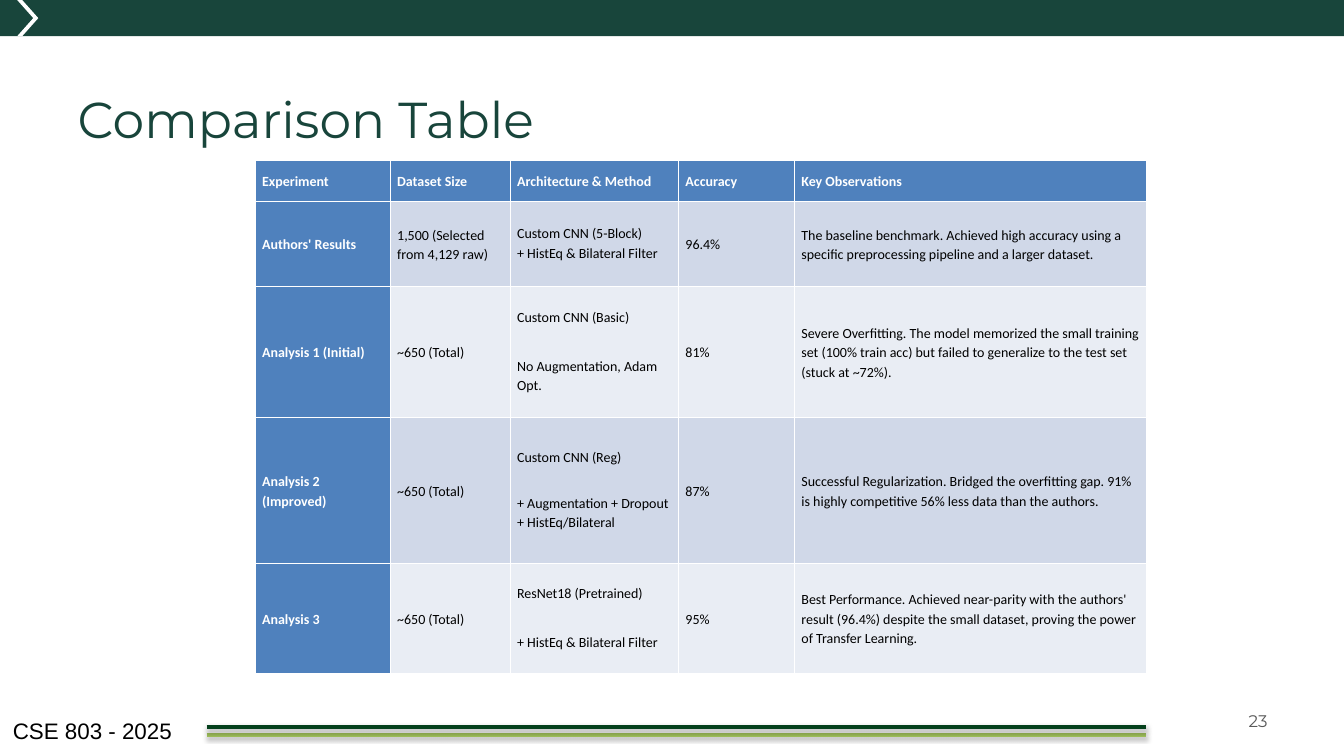
from dataclasses import dataclass
from lxml import etree
from pptx import Presentation
from pptx.dml.color import RGBColor
from pptx.enum.shapes import MSO_CONNECTOR as Connector, MSO_SHAPE as Preset
from pptx.enum.text import MSO_ANCHOR as Anchor, MSO_AUTO_SIZE as AutoSize, PP_ALIGN as Align
from pptx.oxml import parse_xml
from pptx.util import Inches, Pt

TITLE = "Comparison Table"
COURSE = "CSE 803 - 2025"
PAGE = "23"
HEADER = ["Experiment", "Dataset Size", "Architecture & Method", "Accuracy", "Key Observations"]
RESULTS = [
    ["Authors' Results", "1,500 (Selected from 4,129 raw)",
     "Custom CNN (5-Block)\n+ HistEq & Bilateral Filter", "96.4%",
     "The baseline benchmark. Achieved high accuracy using a specific preprocessing "
     "pipeline and a larger dataset."],
    ["Analysis 1 (Initial)", "~650 (Total)",
     ("Custom CNN (Basic)", "No Augmentation, Adam Opt."), "81%",
     "Severe Overfitting. The model memorized the small training set (100% train acc) "
     "but failed to generalize to the test set (stuck at ~72%)."],
    ["Analysis 2 (Improved)", "~650 (Total)",
     ("Custom CNN (Reg)", "+ Augmentation + Dropout\n+ HistEq/Bilateral"), "87%",
     "Successful Regularization. Bridged the overfitting gap. 91% is highly competitive "
     "56% less data than the authors."],
    ["Analysis 3", "~650 (Total)",
     ("ResNet18 (Pretrained)", "+ HistEq & Bilateral Filter"), "95%",
     "Best Performance. Achieved near-parity with the authors' result (96.4%) despite "
     "the small dataset, proving the power of Transfer Learning."],
]
COLUMNS = [1.34, 1.19, 1.67, 1.15, 3.49]
ROWS = [0.41, 0.84, 1.3, 1.45, 1.09]
WIDTH, HEIGHT = 13.33, 7.5
BAND = 0.36
TABLE_LEFT, TABLE_TOP = 2.53, 1.59
TABLE_RIGHT = TABLE_LEFT + sum(COLUMNS)
RULE_LEFT = 2.05


def rgb(value):
    return RGBColor.from_string(value)


@dataclass(frozen=True)
class Theme:
    green: RGBColor = rgb("18453B")
    white: RGBColor = rgb("FFFFFF")
    black: RGBColor = rgb("000000")
    gray: RGBColor = rgb("595959")
    header: RGBColor = rgb("4F81BD")
    bands: tuple = (rgb("D0D8E8"), rgb("E9EDF4"))
    rules: tuple = ((7.29, rgb("9BBB59")), (7.21, rgb("04401C")))
    heading_font: str = "Montserrat"
    body_font: str = "Calibri"
    footer_font: str = "Arial"
    title_size: int = 36
    footer_size: int = 16
    page_size: int = 12
    cell_size: int = 10


THEME = Theme()
RULE_SHADOW = (
    '<a:effectLst xmlns:a="http://schemas.openxmlformats.org/drawingml/2006/main">'
    '<a:outerShdw blurRad="39370" dist="22860" dir="5400000" rotWithShape="0">'
    '<a:srgbClr val="000000"><a:alpha val="35000"/></a:srgbClr>'
    "</a:outerShdw></a:effectLst>"
)


def style(paragraph, font, size, color, bold=False):
    paragraph.font.name = font
    paragraph.font.size = Pt(size)
    paragraph.font.color.rgb = color
    paragraph.font.bold = bold


def paint(shape, color):
    shape.shadow.inherit = False
    shape.fill.solid()
    shape.fill.fore_color.rgb = color
    shape.line.fill.background()


def place(shape, left, top, width, height):
    shape.left, shape.top = Inches(left), Inches(top)
    shape.width, shape.height = Inches(width), Inches(height)


def add_banner(slide):
    band = slide.shapes.add_shape(Preset.RECTANGLE, 0, 0, Inches(WIDTH), Inches(BAND))
    paint(band, THEME.green)
    left, stroke, reach = 0.17, 0.05, 0.16
    points = [(left + stroke, 0), (left + stroke + reach, BAND / 2), (left + stroke, BAND),
              (left, BAND), (left + reach, BAND / 2)]
    builder = slide.shapes.build_freeform(Inches(left), 0)
    builder.add_line_segments([(Inches(x), Inches(y)) for x, y in points], close=True)
    paint(builder.convert_to_shape(), THEME.white)


def add_title(slide):
    title = slide.shapes.title
    place(title, 0.67, 0.82, 12, 1.07)
    frame = title.text_frame
    frame.text = TITLE
    frame.vertical_anchor = Anchor.TOP
    frame.auto_size = AutoSize.NONE
    frame.paragraphs[0].alignment = Align.LEFT
    style(frame.paragraphs[0], THEME.heading_font, THEME.title_size, THEME.green)


def add_label(slide, text, box, font, size, color, align, anchor):
    label = slide.shapes.add_textbox(*(Inches(length) for length in box))
    frame = label.text_frame
    frame.word_wrap = True
    frame.vertical_anchor = anchor
    frame.text = text
    frame.paragraphs[0].alignment = align
    style(frame.paragraphs[0], font, size, color)


def add_footer(slide):
    for y, color in THEME.rules:
        rule = slide.shapes.add_connector(
            Connector.STRAIGHT, Inches(RULE_LEFT), Inches(y), Inches(TABLE_RIGHT), Inches(y))
        rule.line.color.rgb = color
        rule.line.width = Pt(3)
        rule._element.spPr.append(parse_xml(RULE_SHADOW))
    add_label(slide, COURSE, (0.03, 7.07, 1.93, 0.37), THEME.footer_font,
              THEME.footer_size, THEME.black, Align.LEFT, Anchor.TOP)
    add_label(slide, PAGE, (9.56, 6.95, 3.11, 0.4), THEME.heading_font,
              THEME.page_size, THEME.gray, Align.RIGHT, Anchor.MIDDLE)


def fill_cell(cell, content, fill, color, bold):
    cell.fill.solid()
    cell.fill.fore_color.rgb = fill
    cell.vertical_anchor = Anchor.MIDDLE
    cell.margin_left = cell.margin_right = Inches(0.07)
    cell.margin_top = cell.margin_bottom = 0
    blocks = content if isinstance(content, tuple) else (content,)
    cell.text = "\n".join(blocks)
    paragraphs = cell.text_frame.paragraphs
    for paragraph in paragraphs:
        style(paragraph, THEME.body_font, THEME.cell_size, color, bold)
    if len(blocks) > 1:
        paragraphs[1].space_before = Pt(20.75)
    paragraphs[-1].line_spacing = 1.15
    paragraphs[-1].space_after = Pt(8)


def add_results(slide):
    table = slide.shapes.add_table(
        len(ROWS), len(COLUMNS), Inches(TABLE_LEFT), Inches(TABLE_TOP),
        Inches(sum(COLUMNS)), Inches(sum(ROWS))).table
    table.first_col = True
    table.horz_banding = False
    for column, width in zip(table.columns, COLUMNS):
        column.width = Inches(width)
    for row, height in zip(table.rows, ROWS):
        row.height = Inches(height)
    for r, record in enumerate([HEADER] + RESULTS):
        for c, content in enumerate(record):
            heading = r == 0 or c == 0
            fill = THEME.header if heading else THEME.bands[(r - 1) % 2]
            color = THEME.white if heading else THEME.black
            fill_cell(table.cell(r, c), content, fill, color, heading)


def main():
    presentation = Presentation()
    presentation.slide_width = Inches(WIDTH)
    presentation.slide_height = Inches(HEIGHT)
    slide = presentation.slides.add_slide(presentation.slide_layouts[5])
    add_banner(slide)
    add_title(slide)
    add_footer(slide)
    add_results(slide)
    presentation.save("out.pptx")


if __name__ == "__main__":
    main()
